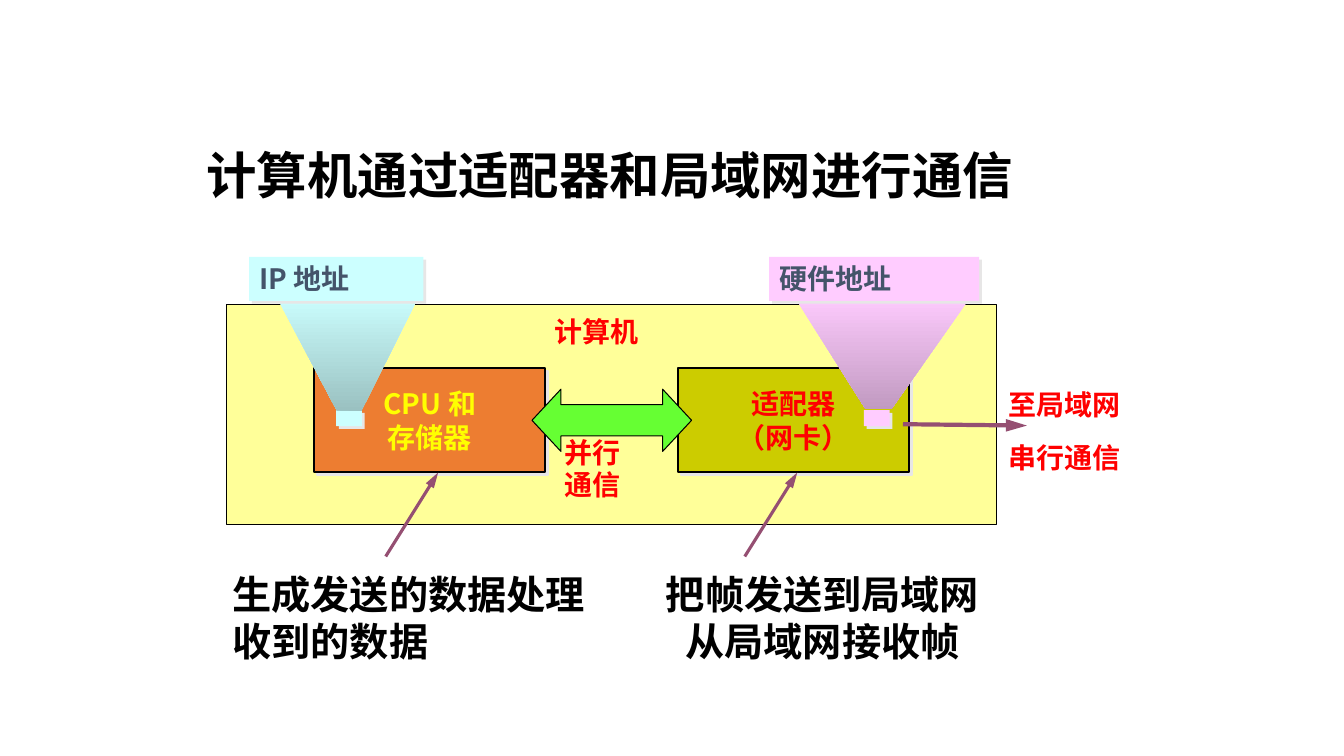
from lxml import etree
from pptx import Presentation
from pptx.dml.color import RGBColor
from pptx.enum import shapes, text
from pptx.oxml import ns
from pptx.util import Pt

FONT = "Noto Sans CJK SC"
BLACK = RGBColor(0, 0, 0)
RED = RGBColor(0xFF, 0, 0)
YELLOW = RGBColor(0xFF, 0xFF, 0)
CREAM = RGBColor(0xFF, 0xFF, 0x99)
OLIVE = RGBColor(0xCC, 0xCC, 0)
ORANGE = RGBColor(0xED, 0x7D, 0x31)
GREEN = RGBColor(0x66, 0xFF, 0x33)
CYAN = RGBColor(0xCC, 0xFF, 0xFF)
TEAL = RGBColor(0x9A, 0xC1, 0xC1)
PINK = RGBColor(0xFF, 0xCC, 0xFF)
MAUVE = RGBColor(0xC1, 0x9A, 0xC1)
SLATE = RGBColor(0x44, 0x54, 0x6A)
PLUM = RGBColor(0x95, 0x4F, 0x72)
SHADE = RGBColor(0xE7, 0xE6, 0xE6)
LEFT, MID = text.PP_ALIGN.LEFT, text.PP_ALIGN.CENTER
RECT = shapes.MSO_SHAPE.RECTANGLE

deck = Presentation()
deck.slide_width, deck.slide_height = Pt(960), Pt(540)
slide = deck.slides.add_slide(deck.slide_layouts[6])
parts = slide.shapes


def write(shape, words, size, color, align=LEFT, space=None):
    frame = shape.text_frame
    frame.text = words
    frame.word_wrap = True
    for par in frame.paragraphs:
        par.alignment = align
        if space:
            par.line_spacing = space
        for run in par.runs:
            font = run.font
            font.name, font.size, font.bold = FONT, Pt(size), True
            font.color.rgb = color
            east = etree.SubElement(font._element, ns.qn("a:ea"))
            east.set("typeface", FONT)


def block(kind, spot, fill, width=0, shade=False):
    shape = parts.add_shape(kind, *map(Pt, spot))
    shape.shadow.inherit = False
    shape.fill.solid()
    shape.fill.fore_color.rgb = fill
    if width:
        shape.line.color.rgb = BLACK
        shape.line.width = Pt(width)
    else:
        shape.line.fill.background()
    if shade:
        glow = shape._element.spPr.find(ns.qn("a:effectLst"))
        drop = etree.SubElement(glow, ns.qn("a:outerShdw"), dist=str(Pt(2.8)),
                                dir="2700000", algn="ctr", rotWithShape="0")
        etree.SubElement(drop, ns.qn("a:srgbClr"), val=str(SHADE))
    return shape


# Computer with its two boxes
block(RECT, (162, 217.5, 550, 157.5), CREAM, 0.75)
for left, fill, words, color in (
    (484.5, OLIVE, "适配器\n（网卡）", RED),
    (224.5, ORANGE, "CPU 和\n存储器", YELLOW),
):
    box = block(RECT, (left, 263, 165, 74), fill, 1.5, True)
    write(box, words, 20, color, MID)
    box.text_frame.word_wrap = False
    box.text_frame.vertical_anchor = text.MSO_ANCHOR.MIDDLE

# Arrows to the network and from the notes
for x1, y1, x2, y2, width in (
    (645, 303, 733.5, 304, 3),
    (275.5, 397.5, 313, 337.5, 2.25),
    (532, 397.5, 569.5, 337.5, 2.25),
):
    line = parts.add_connector(shapes.MSO_CONNECTOR.STRAIGHT,
                               Pt(x1), Pt(y1), Pt(x2), Pt(y2))
    line.line.color.rgb = PLUM
    line.line.width = Pt(width)
    etree.SubElement(line.line._get_or_add_ln(), ns.qn("a:tailEnd"),
                     type="triangle", w="med", len="lg")
    etree.SubElement(line._element.spPr, ns.qn("a:effectLst"))

# Parallel bus
bus = block(shapes.MSO_SHAPE.LEFT_RIGHT_ARROW, (380, 278, 114, 44.5), GREEN, 0.75)
bus.adjustments[0], bus.adjustments[1] = 0.5, 0.465

# Title, notes and labels
for words, spot, size, color, align, space in (
    ("计算机通过适配器和局域网进行通信", (140.5, 99.5, 679, 50.5), 36, BLACK, LEFT, None),
    ("生成发送的数据处理收到的数据", (159, 404, 277, 74), 28, BLACK, LEFT, None),
    ("把帧发送到局域网\n从局域网接收帧", (423.5, 404, 328, 74), 28, BLACK, MID, None),
    ("计算机", (389, 221, 147.5, 31.5), 20, RED, LEFT, None),
    ("并行\n通信", (396, 309, 86.5, 52.5), 20, RED, LEFT, 0.95),
    ("至局域网", (713.5, 273.5, 150, 31.5), 20, RED, LEFT, None),
    ("串行通信", (713.5, 311, 150, 31.5), 20, RED, LEFT, None),
):
    write(parts.add_textbox(*map(Pt, spot)), words, size, color, align, space)

# Address labels, each with a beam down to its chip
for words, left, wide, chip, fill, dark, beam in (
    ("硬件地址", 549.5, 150, 617, PINK, MAUVE,
     ((566, 209.5), (694, 211), (636.5, 292.5), (618.5, 292.5))),
    ("IP 地址", 178, 124.5, 240, CYAN, TEAL,
     ((196.5, 210), (300, 210), (258, 293.5), (240.5, 293))),
):
    block(RECT, (chip, 293, 18.5, 11.5), fill, shade=True)
    first, *rest = [(Pt(x), Pt(y)) for x, y in beam]
    path = parts.build_freeform(*first)
    path.add_line_segments(rest, close=True)
    cone = path.convert_to_shape()
    cone.shadow.inherit = False
    cone.line.fill.background()
    cone.fill.gradient()
    cone.fill.gradient_angle = 270
    for stop, tone, place in zip(cone.fill.gradient_stops, (fill, dark), (0, 1)):
        stop.color.rgb = tone
        stop.position = place
    label = block(RECT, (left, 183.5, wide, 31.5), fill, shade=True)
    write(label, words, 20, SLATE)
    label.text_frame.vertical_anchor = text.MSO_ANCHOR.TOP

deck.save("out.pptx")
